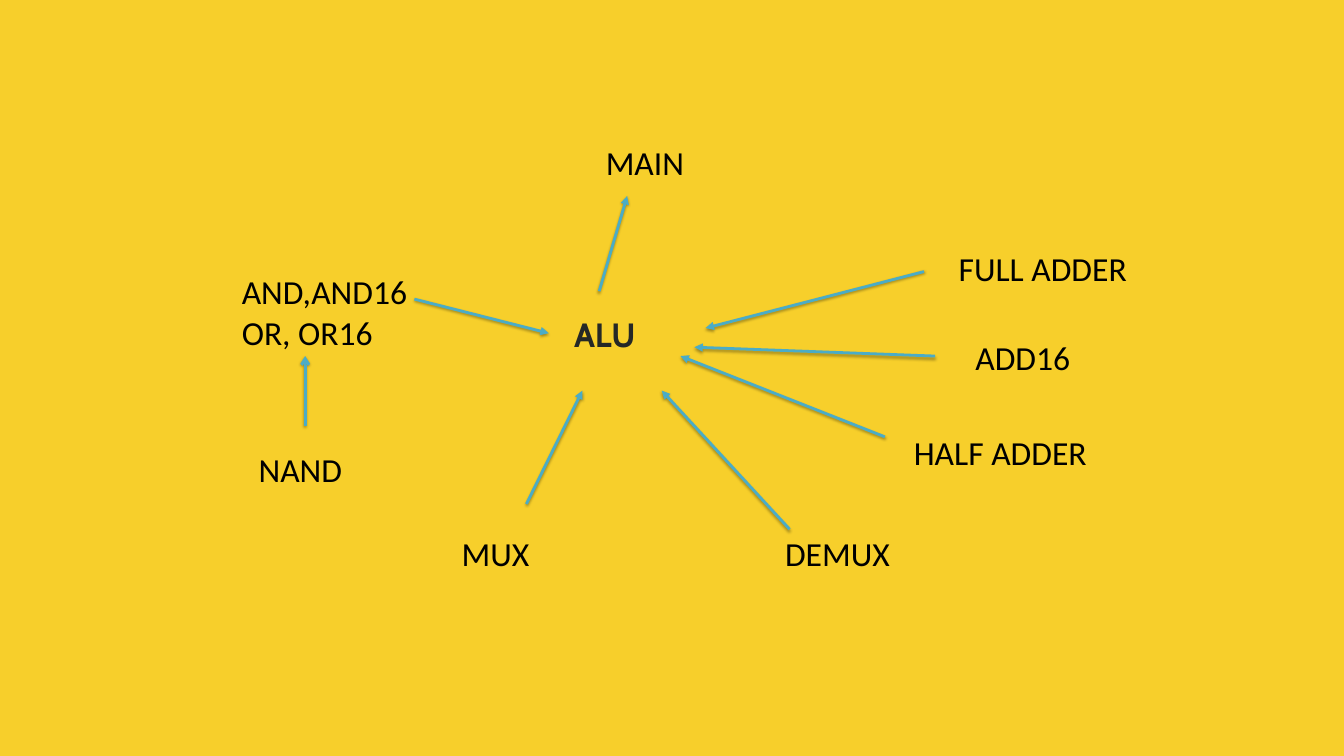
from dataclasses import dataclass

from lxml.etree import SubElement
from pptx import Presentation
from pptx.dml.color import RGBColor
from pptx.enum.shapes import MSO_CONNECTOR
from pptx.enum.text import MSO_ANCHOR, MSO_AUTO_SIZE, PP_ALIGN
from pptx.oxml.ns import qn
from pptx.util import Pt


@dataclass(frozen=True)
class Theme:
    background: str = "F7CF2B"
    title: str = "252826"
    text: str = "000000"
    arrow: str = "4BACC6"
    title_font: str = "Cabin"
    font: str = "Calibri"
    size: float = 36
    arrow_width: float = 3


THEME = Theme()
SLIDE_SIZE = (1440, 810)
LINE_HEIGHT = 43.5
INSET_X, INSET_Y = 7.2, 3.6

TITLE = ("ALU", (615, 335, 114, 45))

# Lines of text, left, top, width
LABELS = [
    (["MAIN"], 642, 149, 140),
    (["NAND"], 270, 477.5, 114),
    (["AND,AND16", "OR, OR16"], 252, 287, 192),
    (["MUX"], 487.5, 567, 222),
    (["DEMUX"], 834, 567.5, 204),
    (["FULL ADDER"], 1020, 262, 222),
    (["HALF ADDER"], 972, 459.5, 234),
    (["ADD16"], 1038, 357, 192),
]

# Start, end, head
ARROWS = [
    ((327, 456), (327, 381.5), "arrow"),         # NAND to AND/OR
    ((444, 320.5), (588, 357), "triangle"),      # AND/OR to ALU
    ((564, 540), (624, 418.5), "triangle"),      # MUX to ALU
    ((846, 567), (709, 418.5), "triangle"),      # DEMUX to ALU
    ((642, 312), (672, 210), "triangle"),        # ALU to MAIN
    ((990, 291), (756, 351.5), "triangle"),      # FULL ADDER to ALU
    ((948, 468), (729, 381.5), "triangle"),      # HALF ADDER to ALU
    ((1002, 381.5), (744, 372), "triangle"),     # ADD16 to ALU
]


def write(sp, lines, *, font=THEME.font, color=THEME.text, bold=False,
          inset=(INSET_X, INSET_Y), anchor=MSO_ANCHOR.TOP):
    tf = sp.text_frame
    tf.word_wrap = True
    tf.auto_size = MSO_AUTO_SIZE.SHAPE_TO_FIT_TEXT
    tf.vertical_anchor = anchor
    tf.margin_left = tf.margin_right = Pt(inset[0])
    tf.margin_top = tf.margin_bottom = Pt(inset[1])
    for i, line in enumerate(lines):
        p = tf.add_paragraph() if i else tf.paragraphs[0]
        p.alignment = PP_ALIGN.LEFT
        r = p.add_run()
        r.text = line
        r.font.name = font
        r.font.size = Pt(THEME.size)
        r.font.bold = bold
        r.font.color.rgb = RGBColor.from_string(color)


def add_title(s):
    text, box = TITLE
    sp = s.shapes.title
    sp.left, sp.top, sp.width, sp.height = map(Pt, box)
    write(sp, [text], font=THEME.title_font, color=THEME.title, bold=True,
          inset=(0, 0), anchor=MSO_ANCHOR.MIDDLE)


def add_label(s, lines, left, top, width):
    height = len(lines) * LINE_HEIGHT + 2 * INSET_Y
    write(s.shapes.add_textbox(Pt(left), Pt(top), Pt(width), Pt(height)), lines)


def add_arrow(s, start, end, head):
    """Draw a line with an arrowhead at its end and a soft shadow below."""
    cx = s.shapes.add_connector(MSO_CONNECTOR.STRAIGHT, *map(Pt, start + end))
    cx.line.color.rgb = RGBColor.from_string(THEME.arrow)
    cx.line.width = Pt(THEME.arrow_width)
    sp_pr = cx.line._get_or_add_ln().getparent()
    SubElement(cx.line._get_or_add_ln(), qn("a:tailEnd"), type=head)
    effects = SubElement(sp_pr, qn("a:effectLst"))
    shadow = SubElement(effects, qn("a:outerShdw"), blurRad=str(Pt(3.1)),
                        dist=str(Pt(1.8)), dir="5400000", rotWithShape="0")
    color = SubElement(shadow, qn("a:srgbClr"), val="000000")
    SubElement(color, qn("a:alpha"), val="35000")


def main():
    prs = Presentation()
    prs.slide_width, prs.slide_height = map(Pt, SLIDE_SIZE)
    s = prs.slides.add_slide(prs.slide_layouts.get_by_name("Title Only"))
    s.background.fill.solid()
    s.background.fill.fore_color.rgb = RGBColor.from_string(THEME.background)
    add_title(s)
    for label in LABELS:
        add_label(s, *label)
    for arrow in ARROWS:
        add_arrow(s, *arrow)
    prs.save("out.pptx")


if __name__ == "__main__":
    main()
